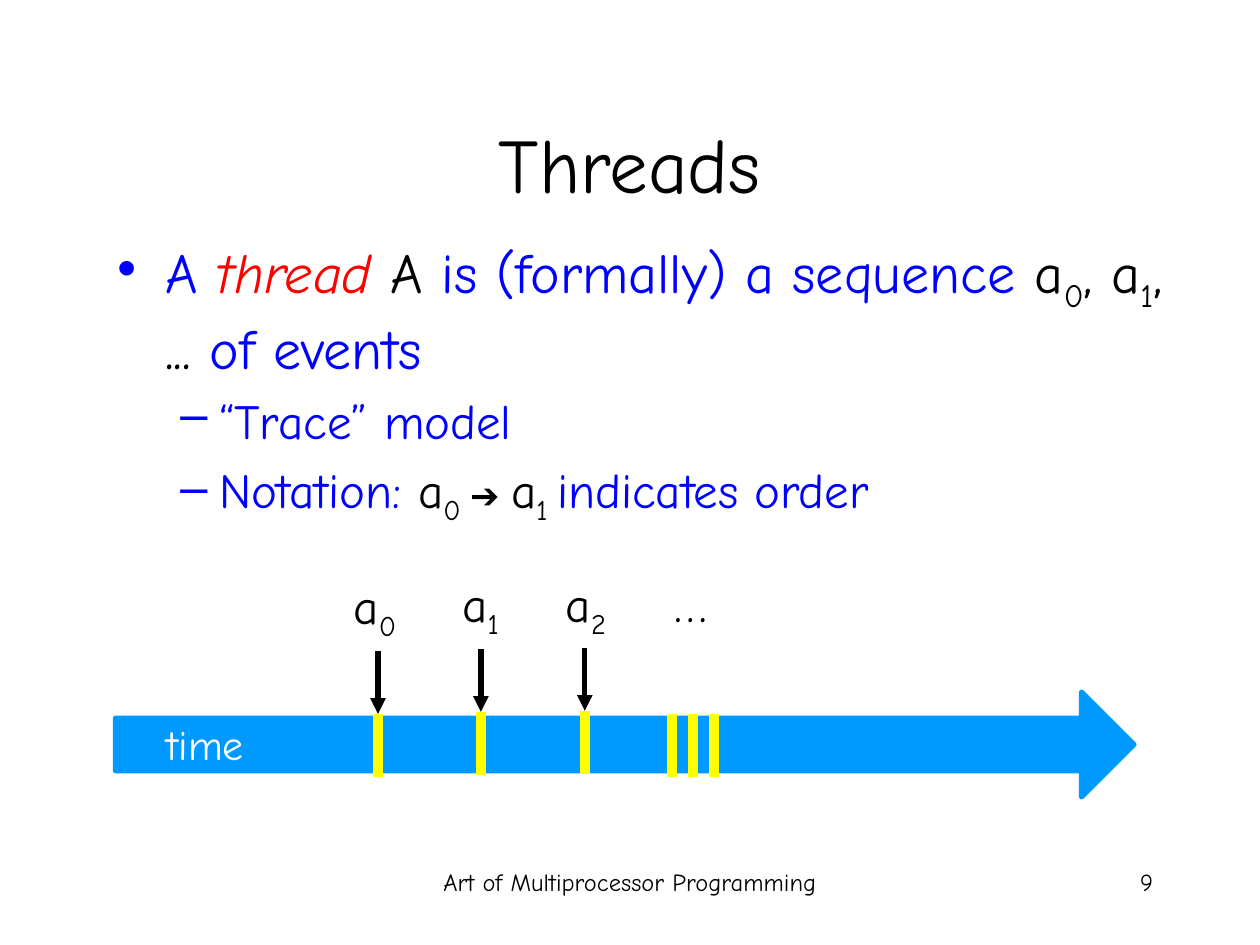
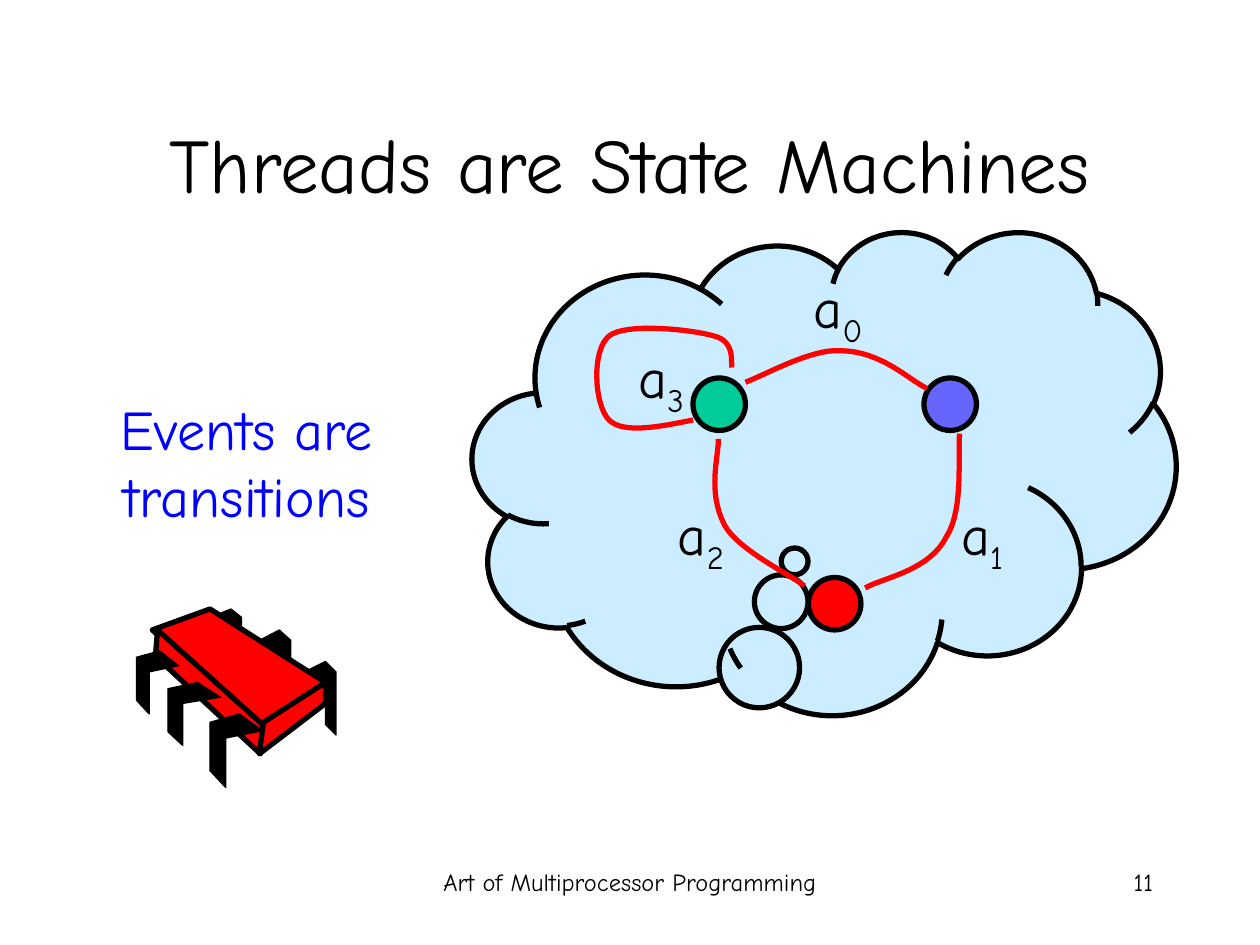
"""Build two slides on threads: a time line of events and a state machine."""
from lxml import etree
from pptx import Presentation
from pptx import util as u
from pptx.dml.color import RGBColor
from pptx.enum import shapes, text
from pptx.oxml.ns import qn

PX = 7620
FONT = "Comic Neue"
BLACK = RGBColor(0x00, 0x00, 0x00)
WHITE = RGBColor(0xFF, 0xFF, 0xFF)
BLUE = RGBColor(0x00, 0x00, 0xFF)
RED = RGBColor(0xFF, 0x00, 0x00)
YELLOW = RGBColor(0xFF, 0xFF, 0x00)
GREEN = RGBColor(0x00, 0xCC, 0x99)
VIOLET = RGBColor(0x66, 0x66, 0xFF)
TIME_BLUE = RGBColor(0x00, 0x99, 0xFF)
CLOUD_BLUE = RGBColor(0xCC, 0xEC, 0xFF)

FOOTER = "Art of Multiprocessor Programming"
INK = {"color": BLACK}
SUB = {"color": BLACK, "baseline": -25000}


def event(index):
    return [("a", INK), (index, SUB)]


BODY = [
    (0, 32, [("A ", {}), ("thread ", {"color": RED, "italic": True}), ("A", INK),
             (" is (formally) a sequence ", {}), *event("0"), (", ", INK),
             *event("1"), (", ... ", INK), ("of events", {})]),
    (1, 28, [("“Trace” model", {})]),
    (1, 28, [("Notation: ", {}), *event("0 "), ("➔ ", {"color": BLACK, "size": 20}),
             *event("1 "), ("indicates order", {})]),
]
BULLETS = [("•", 0.38, 0.38, 0), ("–", 0.81, 0.31, 5.6)]

EVENT_ARROWS = [(360, 620), (458, 618), (557, 617)]
LATER_TICKS = [640, 660, 680]
TICK_LEN = 60
EVENT_LABELS = [(event("0"), 322, 542, 67), (event("1"), 425, 540, 62),
                (event("2"), 522, 540, 67), ([("…", INK)], 630, 540, 55)]

STATES = [(660, 360, GREEN), (880, 360, VIOLET), (770, 550, RED)]
STATE_SIZE = 50
TRANSITIONS = [
    [(710, 364), (725, 359), (772, 332), (800, 334), (839, 334), (866, 362), (883, 370)],
    [(914, 413), (912, 430), (918, 485), (902, 510), (886, 544), (841, 550), (824, 560)],
    [(766, 558), (754, 548), (703, 524), (690, 500), (673, 467), (685, 434), (684, 418)],
    [(660, 400), (626, 407), (593, 413), (580, 400), (566, 386), (563, 334), (580, 320),
     (596, 307), (660, 314), (680, 320), (700, 325), (696, 344), (697, 350)],
]
TRANSITION_LABELS = [("0", 760, 254, 73), ("1", 900, 470, 67),
                     ("2", 628, 470, 73), ("3", 590, 320, 73)]

BACK_LEGS = [
    [(290, 640), (310, 630), (320, 640), (320, 700), (310, 690), (310, 650), (290, 660)],
    [(247, 610), (266, 600), (277, 610), (277, 670), (266, 660), (266, 620), (247, 630)],
    [(200, 588), (220, 580), (230, 588), (230, 640), (220, 631), (220, 598), (200, 606)],
]
CHIP_FACES = [
    [(200, 580), (310, 650), (248, 691), (145, 600)],
    [(150, 600), (250, 690), (248, 718), (148, 625)],
    [(310, 650), (310, 670), (247, 718), (251, 688)],
]
FRONT_LEGS = [
    [(228, 680), (250, 696), (215, 703), (215, 750), (200, 734), (200, 688)],
    [(188, 650), (210, 664), (174, 670), (174, 710), (160, 697), (160, 656)],
    [(152, 620), (170, 634), (142, 640), (142, 680), (130, 667), (130, 626)],
]


def px(*values):
    return [round(v * PX) for v in values]


def add_run(p, words, size, color, italic=False, baseline=None):
    r = p.add_run()
    r.text = words
    r.font.name, r.font.size, r.font.italic = FONT, u.Pt(size), italic
    r.font.color.rgb = color
    if baseline:
        r.font._element.set("baseline", str(baseline))


def add_bullet(p, char, left, hang, before):
    pPr = p._p.get_or_add_pPr()
    pPr.set("marL", str(u.Inches(left)))
    pPr.set("indent", str(-u.Inches(hang)))
    clr = etree.SubElement(pPr, qn("a:buClr"))
    etree.SubElement(clr, qn("a:srgbClr"), val=str(BLUE))
    etree.SubElement(pPr, qn("a:buChar"), char=char)
    if before:
        p.space_before = u.Pt(before)


def add_text(s, box, content, size=28, color=BLACK, align="RIGHT", anchor="TOP"):
    """Write a string, a list of runs, or bulleted (level, size, runs) paragraphs."""
    tf = s.shapes.add_textbox(*px(*box)).text_frame
    tf.word_wrap = True
    tf.vertical_anchor = text.MSO_ANCHOR[anchor]
    if isinstance(content, str):
        content = [(content, {})]
    if len(content[0]) == 2:
        content = [(None, size, content)]
    for i, (level, para_size, runs) in enumerate(content):
        p = tf.add_paragraph() if i else tf.paragraphs[0]
        p.alignment = text.PP_ALIGN[align]
        if level is not None:
            p.level = level
            add_bullet(p, *BULLETS[level])
        for words, fmt in runs:
            add_run(p, words, **{"size": para_size, "color": color, **fmt})


def paint(sp, fill, line, width=3):
    sp.shadow.inherit = False
    if fill is None:
        sp.fill.background()
    else:
        sp.fill.solid()
        sp.fill.fore_color.rgb = fill
    sp.line.color.rgb = line
    sp.line.width = u.Pt(width)


def add_preset(s, kind, box, fill, line=BLACK):
    sp = s.shapes.add_shape(shapes.MSO_SHAPE[kind], *px(*box))
    paint(sp, fill, line)
    return sp


def add_down_line(s, x, y, color, width, arrow=False):
    c = s.shapes.add_connector(shapes.MSO_CONNECTOR.STRAIGHT, *px(x, y, x, y + TICK_LEN))
    c.line.color.rgb = color
    c.line.width = u.Pt(width)
    spPr = c.element.spPr
    if arrow:
        etree.SubElement(spPr.find(qn("a:ln")), qn("a:tailEnd"), type="triangle")
    etree.SubElement(spPr, qn("a:effectLst"))


def add_outline(tree, points, fill, line, width=3):
    start, *rest = [px(*point) for point in points]
    builder = tree.build_freeform(*start)
    builder.add_line_segments(rest, close=fill is not None)
    paint(builder.convert_to_shape(), fill, line, width)


def curve_points(knots, steps=16):
    points = [knots[0]]
    for i in range(0, len(knots) - 1, 3):
        a, b, c, d = knots[i:i + 4]
        for t in (k / steps for k in range(1, steps + 1)):
            weights = (1 - t) ** 3, 3 * t * (1 - t) ** 2, 3 * t * t * (1 - t), t ** 3
            points.append([sum(w * v for w, v in zip(weights, axis))
                           for axis in zip(a, b, c, d)])
    return points


def add_slide(prs, title, number):
    s = prs.slides.add_slide(prs.slide_layouts[6])
    add_text(s, (410, 820, 380, 60), FOOTER, size=14, align="CENTER")
    add_text(s, (860, 820, 250, 60), number, size=14)
    add_text(s, (90, 80, 1020, 150), title, size=44, align="CENTER", anchor="MIDDLE")
    return s


def build_threads(prs):
    s = add_slide(prs, "Threads", "9")
    add_preset(s, "RIGHT_ARROW", (110, 659, 970, 100), TIME_BLUE, TIME_BLUE)
    add_text(s, (137, 678, 107, 60), "time", size=24, color=WHITE)
    add_text(s, (100, 220, 1020, 430), BODY, color=BLUE, align="LEFT")
    for x, y in EVENT_ARROWS:
        add_down_line(s, x, y, BLACK, 3, arrow=True)
        add_down_line(s, x, y + TICK_LEN, YELLOW, 6)
    for x in LATER_TICKS:
        add_down_line(s, x, 680, YELLOW, 6)
    for runs, x, y, w in EVENT_LABELS:
        add_text(s, (x, y, w, 68), runs)


def build_state_machine(prs):
    s = add_slide(prs, "Threads are State Machines", "11")
    cloud = add_preset(s, "CLOUD_CALLOUT", (450, 220, 670, 460), CLOUD_BLUE)
    cloud.adjustments[0], cloud.adjustments[1] = -0.042, 0.184
    chip = s.shapes.add_group_shape().shapes
    for outlines, fill, width in ((BACK_LEGS, BLACK, 0.75), (CHIP_FACES, RED, 3),
                                  (FRONT_LEGS, BLACK, 0.75)):
        for points in outlines:
            add_outline(chip, points, fill, BLACK, width)
    for x, y, color in STATES:
        add_preset(s, "OVAL", (x, y, STATE_SIZE, STATE_SIZE), color)
    for knots in TRANSITIONS:
        add_outline(s.shapes, curve_points(knots), None, RED)
    add_text(s, (70, 370, 330, 140), "Events are transitions", size=32, color=BLUE,
             align="CENTER")
    for index, x, y, w in TRANSITION_LABELS:
        add_text(s, (x, y, w, 76), event(index), size=32)


def main():
    prs = Presentation()
    prs.slide_width, prs.slide_height = px(1200, 900)
    build_threads(prs)
    build_state_machine(prs)
    prs.save("out.pptx")


if __name__ == "__main__":
    main()
